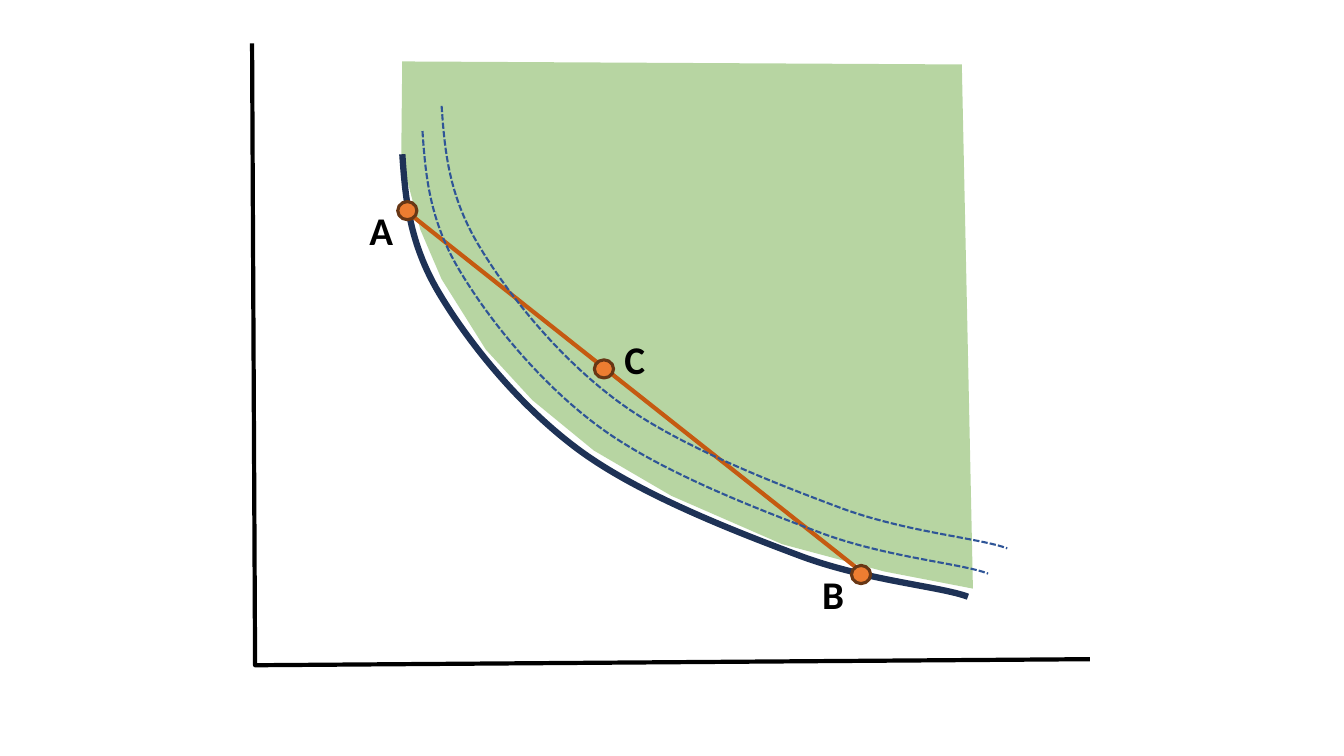
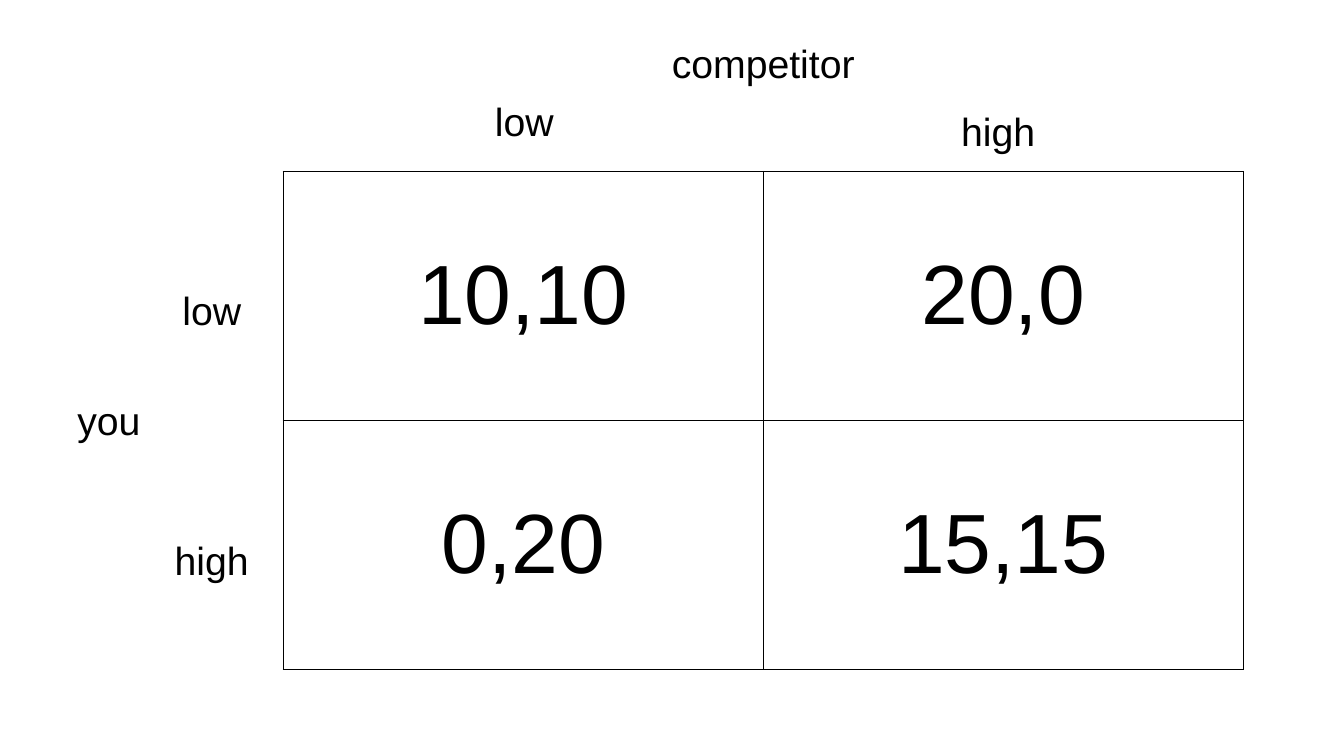
from lxml.etree import SubElement
from pptx import Presentation
from pptx.dml.color import RGBColor
from pptx.enum.dml import MSO_LINE
from pptx.enum.shapes import MSO_CONNECTOR, MSO_SHAPE
from pptx.enum.text import MSO_ANCHOR, MSO_AUTO_SIZE, PP_ALIGN
from pptx.oxml.ns import qn
from pptx.util import Inches, Pt

BLACK = RGBColor(0x00, 0x00, 0x00)
GREEN = RGBColor(0x70, 0xAD, 0x47)
NAVY = RGBColor(0x1E, 0x32, 0x56)
BLUE = RGBColor(0x2F, 0x55, 0x97)
RUST = RGBColor(0xC5, 0x5A, 0x11)
ORANGE = RGBColor(0xED, 0x7D, 0x31)
BROWN = RGBColor(0x68, 0x37, 0x15)

REGION = [(3.99, 0.61), (3.98, 1.57), (4.17, 2.28), (4.38, 2.77), (4.82, 3.47),
          (5.28, 3.97), (5.89, 4.47), (6.66, 4.92), (7.76, 5.4), (8.77, 5.67),
          (9.65, 5.84), (9.54, 0.64)]
AXES = [(2.5, 0.43), (2.53, 6.6), (10.81, 6.54)]
FRONTIER = [(3.99, 1.53),
            (4.02, 1.97), (4.06, 2.41), (4.35, 2.9),
            (4.64, 3.39), (5.15, 4.03), (5.75, 4.47),
            (6.35, 4.91), (7.31, 5.28), (7.95, 5.52),
            (8.6, 5.76), (9.34, 5.82), (9.6, 5.92)]
DASHED_OFFSETS = [(0.2, -0.23), (0.39, -0.48)]
POINTS = [("A", (4.04, 2.09), (3.76, 2)),
          ("B", (8.54, 5.7), (8.25, 5.61)),
          ("C", (5.99, 3.66), (6.29, 3.28))]
PAYOFFS = [["10,10", "20,0"], ["0,20", "15,15"]]
PAYOFF_LABELS = [("low", 5.2, 0.92), ("low", 2.1, 2.79), ("high", 9.9, 1.02),
                 ("high", 2.1, 5.27), ("competitor", 7.57, 0.34), ("you", 1.08, 3.88)]


class Deck:
    label_size = 28
    label_height = 0.57

    def __init__(self):
        self.prs = Presentation()
        self.prs.slide_width = Inches(13.33)
        self.prs.slide_height = Inches(7.5)
        self.s = None

    def slide(self):
        self.s = self.prs.slides.add_slide(self.prs.slide_layouts[6])

    def stroke(self, line, color, width, dash=None):
        line.color.rgb = color
        line.width = Pt(width)
        if dash:
            line.dash_style = dash

    def add_text(self, tf, text, font, size, bold=False):
        p = tf.paragraphs[0]
        p.alignment = PP_ALIGN.CENTER
        r = p.add_run()
        r.text = text
        r.font.name = font
        r.font.size = Pt(size)
        r.font.bold = bold
        r.font.color.rgb = BLACK

    def outline(self, points, close=False):
        pts = [(Inches(x), Inches(y)) for x, y in points]
        builder = self.s.shapes.build_freeform(*pts[0])
        builder.add_line_segments(pts[1:], close=close)
        sp = builder.convert_to_shape()
        sp.shadow.inherit = False
        return sp

    def region(self, points, color, opacity):
        sp = self.outline(points, close=True)
        sp.fill.solid()
        sp.fill.fore_color.rgb = color
        sp.line.fill.background()
        clr = next(sp._element.spPr.iter(qn("a:srgbClr")))
        SubElement(clr, qn("a:alpha"), val=str(opacity * 1000))

    def polyline(self, points, color, width, dash=None):
        sp = self.outline(points)
        sp.fill.background()
        self.stroke(sp.line, color, width, dash)
        return sp

    def curve(self, points, color, width, dash=None):
        sp = self.polyline(points, color, width, dash)
        geometry = next(sp._element.iter(qn("a:path")))
        segments = geometry.findall(qn("a:lnTo"))
        for i in range(0, len(segments), 3):
            bezier = SubElement(geometry, qn("a:cubicBezTo"))
            for segment in segments[i:i + 3]:
                bezier.append(segment[0])
                geometry.remove(segment)

    def line(self, start, end, color, width):
        x1, y1, x2, y2 = (Inches(v) for v in (*start, *end))
        c = self.s.shapes.add_connector(MSO_CONNECTOR.STRAIGHT, x1, y1, x2, y2)
        self.stroke(c.line, color, width)
        SubElement(c._element.spPr, qn("a:effectLst"))

    def marker(self, cx, cy, w=0.19, h=0.18):
        sp = self.s.shapes.add_shape(MSO_SHAPE.OVAL, Inches(cx - w / 2), Inches(cy - h / 2),
                                     Inches(w), Inches(h))
        sp.shadow.inherit = False
        sp.fill.solid()
        sp.fill.fore_color.rgb = ORANGE
        self.stroke(sp.line, BROWN, 2.25)

    def label(self, text, cx, top, width, font, bold=False):
        sp = self.s.shapes.add_textbox(Inches(cx - width / 2), Inches(top),
                                       Inches(width), Inches(self.label_height))
        tf = sp.text_frame
        tf.word_wrap = False
        tf.auto_size = MSO_AUTO_SIZE.SHAPE_TO_FIT_TEXT
        self.add_text(tf, text, font, self.label_size, bold)

    def border(self, cell):
        tcPr = cell._tc.get_or_add_tcPr()
        for side in ("lnL", "lnR", "lnT", "lnB"):
            ln = SubElement(tcPr, qn(f"a:{side}"), w=str(Pt(1)))
            fill = SubElement(ln, qn("a:solidFill"))
            SubElement(fill, qn("a:srgbClr"), val=str(BLACK))

    def table(self, rows, left, top, col_width, row_height):
        n, m = len(rows), len(rows[0])
        frame = self.s.shapes.add_table(n, m, Inches(left), Inches(top),
                                        Inches(col_width * m), Inches(row_height * n))
        table = frame.table
        table.first_row = False
        table.horz_banding = False
        for i, row in enumerate(rows):
            for j, text in enumerate(row):
                cell = table.cell(i, j)
                cell.vertical_anchor = MSO_ANCHOR.MIDDLE
                self.border(cell)
                cell.fill.background()
                self.add_text(cell.text_frame, text, "Arial", 60)


def convexity_slide(deck):
    deck.slide()
    deck.region(REGION, GREEN, 50)
    deck.polyline(AXES, BLACK, 3)
    deck.curve(FRONTIER, NAVY, 4.5)
    deck.line((4.06, 2.12), (8.58, 5.7), RUST, 3)
    for dx, dy in DASHED_OFFSETS:
        shifted = [(x + dx, y + dy) for x, y in FRONTIER]
        deck.curve(shifted, BLUE, 1.5, MSO_LINE.SQUARE_DOT)
    for name, center, (cx, top) in POINTS:
        deck.marker(*center)
        deck.label(name, cx, top, 0.39, "Calibri", bold=True)


def payoff_slide(deck):
    deck.slide()
    deck.table(PAYOFFS, 2.81, 1.7, 4.76, 2.47)
    for text, cx, top in PAYOFF_LABELS:
        width = 2.47 if text == "competitor" else 1.03
        deck.label(text, cx, top, width, "Arial")


def main():
    deck = Deck()
    convexity_slide(deck)
    payoff_slide(deck)
    deck.prs.save("out.pptx")


if __name__ == "__main__":
    main()
